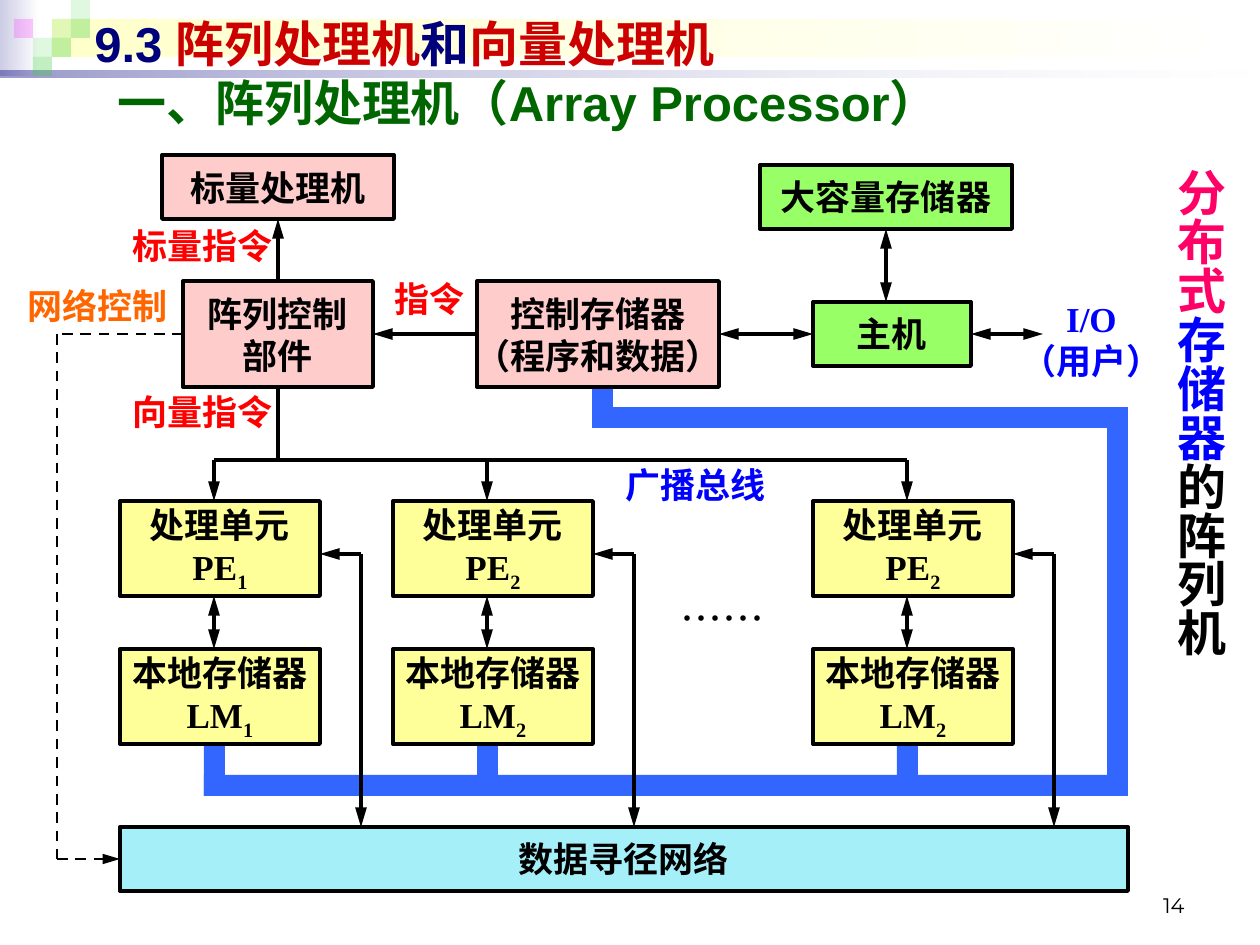
from lxml.etree import SubElement as Sub
from pptx import Presentation
from pptx.dml.color import RGBColor
from pptx.enum.dml import MSO_LINE as Dash
from pptx.enum.shapes import MSO_CONNECTOR as Conn, MSO_SHAPE as Form
from pptx.enum.text import MSO_ANCHOR as Anchor, PP_ALIGN as Align
from pptx.oxml.ns import qn
from pptx.util import Emu, Pt

SCALE = 914400 / 126
ROMAN = "Times New Roman"
CJK = "Noto Sans CJK SC"
rgb = RGBColor.from_string

deck = Presentation()
deck.slide_width, deck.slide_height = Emu(9144000), Emu(6858000)
slide = deck.slides.add_slide(deck.slide_layouts[6])
shapes = slide.shapes


def box(area, paras=(), fill=None, edge=None, size=20, color="000000", font=ROMAN,
        bold=True, align=Align.CENTER, anchor=Anchor.MIDDLE, alpha=None):
    place = [Emu(round(n * SCALE)) for n in area]
    if fill:
        shape = shapes.add_shape(Form.RECTANGLE, *place)
        shape.shadow.inherit = False
        shape.fill.solid()
        shape.fill.fore_color.rgb = rgb(fill)
        if alpha:
            tint = next(shape.fill._xPr.iter(qn("a:srgbClr")))
            Sub(tint, qn("a:alpha"), val=str(alpha * 1000))
        if edge:
            shape.line.color.rgb = rgb(edge)
            shape.line.width = Pt(2.25)
        else:
            shape.line.fill.background()
    else:
        shape = shapes.add_textbox(*place)
    frame = shape.text_frame
    frame.word_wrap = not fill
    frame.vertical_anchor = anchor
    for i, runs in enumerate(paras):
        para = frame.add_paragraph() if i else frame.paragraphs[0]
        para.alignment = align
        para.font.size, para.font.bold, para.font.name = Pt(size), bold, font
        para.font.color.rgb = rgb(color)
        if isinstance(runs, str):
            para.text = runs
            continue
        for text, mark in runs:
            run = para.add_run()
            run.text = text
            if mark == "sub":
                run.font._element.set("baseline", "-25000")
            elif mark:
                run.font.color.rgb = rgb(mark)
    return shape


def wire(x1, y1, x2, y2, heads=(), start=None, end=None, dash=False):
    line = shapes.add_connector(Conn.STRAIGHT, *[Emu(round(n * SCALE)) for n in (x1, y1, x2, y2)])
    if start:
        line.begin_connect(*start)
    if end:
        line.end_connect(*end)
    line.line.color.rgb = rgb("000000")
    line.line.width = Pt(1.5 if dash else 2.25)
    if dash:
        line.line.dash_style = Dash.DASH
    for head in heads:
        Sub(line.line._get_or_add_ln(), qn("a:" + head), type="triangle", w="med", len="lg")
    Sub(line._element.spPr, qn("a:effectLst"))


TAIL = ("tailEnd",)
BOTH = ("headEnd", "tailEnd")

for area, stops in [
    ((0, 0, 39, 76), [("CCCCE6", 100), ("FFFFFF", 100)]),
    ((52, 19, 1203, 38), [("FFFFCC", 100), ("FFFFFF", 100)]),
    ((0, 71, 1260, 7), [("00007D", 40), ("FFFFFF", 10)]),
]:
    bar = box(area, fill="FFFFFF")
    bar.fill.gradient()
    bar.fill.gradient_angle = 0
    for stop, (tone, alpha) in zip(bar.fill.gradient_stops, stops):
        stop.color.rgb = rgb(tone)
        if alpha < 100:
            Sub(next(stop._gs.iter(qn("a:srgbClr"))), qn("a:alpha"), val=str(alpha * 1000))

for col, row, tone, alpha in [
    (2, 1, "33CC33", 15), (3, 0, "33CC33", 15), (3, 1, "33CC33", 30), (1, 2, "33CC33", 15),
    (0, 1, "FF00FF", 20), (2, 2, "33CC33", 30), (1, 3, "33CC33", 30),
]:
    box((14 + 19 * col, 19 * row, 19, 19), fill=tone, alpha=alpha)

box((903, 861, 294, 63), ["14"], size=12, font="Montserrat", bold=False,
    align=Align.RIGHT, anchor=Anchor.BOTTOM)
box((82, 7, 1134, 72), [[("9.3 ", None), ("阵列处理机", "CC0000"), ("和", None),
                         ("向量处理机", "CC0000")]],
    size=28, font="Arial", color="00007D", align=Align.LEFT)
box((105, 66, 1114, 72), ["一、阵列处理机（Array Processor）"],
    size=28, font="Arial", color="006600", align=Align.LEFT)

UNITS = [(120, "1"), (393, "2"), (813, "2")]
pipes = [(x + 84, 743, 21, 53) for x, num in UNITS]
pipes += [(204, 775, 924, 21), (1107, 417, 21, 378), (592, 407, 536, 21), (592, 386, 21, 42)]
for area in pipes:
    box(area, fill="3366FF")

ctrl, store, host, mass, scalar, net = [
    box(area, [text], fill=fill, edge="000000", font=font) for area, text, fill, font in [
        ((183, 281, 190, 106), "阵列控制\v部件", "FFCCCC", ROMAN),
        ((477, 281, 242, 106), "控制存储器\v（程序和数据）", "FFCCCC", ROMAN),
        ((813, 302, 158, 64), "主机", "99FF66", ROMAN),
        ((760, 165, 252, 64), "大容量存储器", "99FF66", ROMAN),
        ((162, 155, 232, 64), "标量处理机", "FFCCCC", ROMAN),
        ((120, 827, 1008, 64), "数据寻径网络", "A5EFF9", "Arial"),
    ]]

for x, num in UNITS:
    for y, name, code in [(501, "处理单元", "PE"), (649, "本地存储器", "LM")]:
        box((x, y, 200, 95), [name, [(code, None), (num, "sub")]], fill="FFFF99", edge="000000")
    wire(x + 94, 460, x + 94, 501, TAIL)
    wire(x + 94, 596, x + 94, 649, BOTH)
    wire(x + 241, 554, x + 200, 554, TAIL)
    wire(x + 241, 554, x + 241, 827, TAIL)

wire(214, 460, 907, 460)
wire(278, 387, 278, 460, start=(ctrl, 2))
wire(278, 281, 278, 219, TAIL, (ctrl, 0), (scalar, 2))
wire(477, 334, 373, 334, TAIL, (store, 1), (ctrl, 3))
wire(719, 334, 813, 334, BOTH, (store, 3), (host, 1))
wire(886, 229, 886, 302, BOTH, (mass, 2))
wire(971, 334, 1043, 334, BOTH, (host, 3))
wire(183, 334, 57, 334, start=(ctrl, 1), dash=True)
wire(57, 334, 57, 859, dash=True)
wire(57, 859, 120, 859, TAIL, end=(net, 1), dash=True)

for area, text, color, align in [
    ((120, 218, 189, 54), "标量指令", "FF0000", Align.LEFT),
    ((372, 271, 116, 54), "指令", "FF0000", Align.CENTER),
    ((15, 278, 189, 54), "网络控制", "FF6600", Align.LEFT),
    ((120, 384, 189, 54), "向量指令", "FF0000", Align.LEFT),
    ((613, 457, 179, 54), "广播总线", "0000FF", Align.LEFT),
    ((1002, 291, 179, 97), "I/O\v（用户）", "0000FF", Align.CENTER),
]:
    box(area, [text], color=color, align=align, anchor=Anchor.TOP)

box((665, 586, 116, 63), ["……"], size=24, font=CJK, bold=False, anchor=Anchor.TOP)
side = box((1152, 156, 84, 586), [[("分布式", "FF0066"), ("存储器", "0000FF"), ("的阵列机", None)]],
           size=28, anchor=Anchor.TOP, align=Align.LEFT)
side.text_frame._txBody.bodyPr.set("vert", "eaVert")

deck.save("out.pptx")
